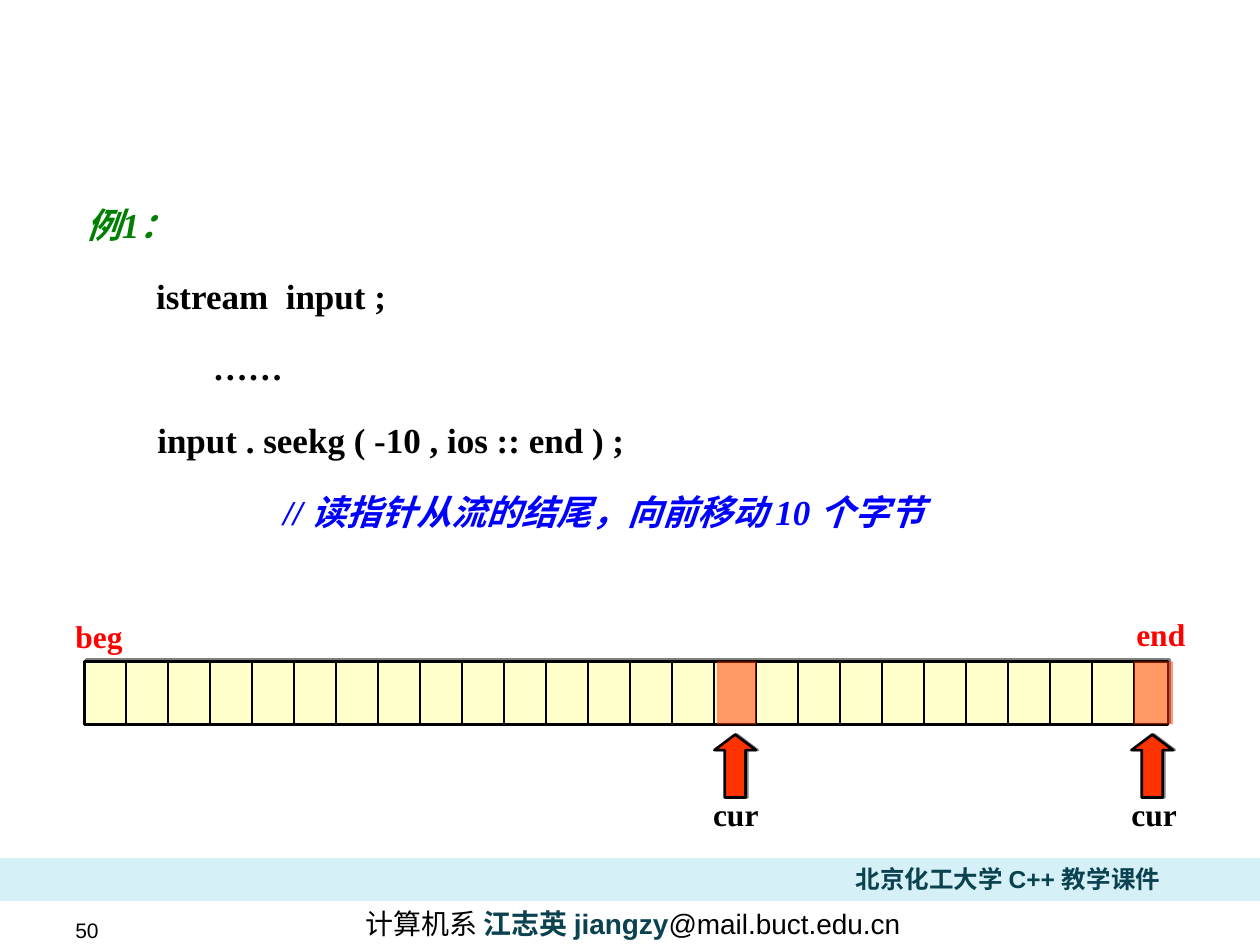
from dataclasses import dataclass

from lxml import etree
from pptx import Presentation
from pptx.dml.color import RGBColor
from pptx.enum.shapes import MSO_CONNECTOR, MSO_SHAPE
from pptx.enum.text import MSO_ANCHOR, PP_ALIGN
from pptx.oxml.ns import qn
from pptx.util import Inches, Pt

STRAIGHT = MSO_CONNECTOR.STRAIGHT
RECTANGLE, UP_ARROW = MSO_SHAPE.RECTANGLE, MSO_SHAPE.UP_ARROW
TOP, MIDDLE = MSO_ANCHOR.TOP, MSO_ANCHOR.MIDDLE
LEFT, CENTER = PP_ALIGN.LEFT, PP_ALIGN.CENTER
SERIF, SANS = "Times New Roman", "Arial"
COLORS = {
    "black": "000000",
    "teal": "0A424F",
    "band": "D5F0F7",
    "green": "008000",
    "blue": "0000FF",
    "red": "FF0000",
    "pointer": "FF3300",
    "cell": "FFFFCC",
    "shadow": "808080",
}
STREAM_TOP, STREAM_HEIGHT = 5.25, 0.5
CELL_WIDTH = 1 / 3
DIVIDERS = 25


@dataclass
class Line:
    text: str
    size: int
    color: str = "black"
    font: str = SERIF
    bold: bool = True
    italic: bool = False
    indent: float = 0
    spacing: float = 1.0


@dataclass
class TextBlock:
    left: float
    top: float
    width: float
    height: float
    lines: list[Line]
    align: PP_ALIGN = LEFT
    anchor: MSO_ANCHOR = TOP


@dataclass
class Pointer:
    arrow_left: float
    cell_left: float
    label_left: float


def rgb(name: str) -> RGBColor:
    return RGBColor.from_string(COLORS[name])


def draw_text(slide, block: TextBlock):
    box = slide.shapes.add_textbox(
        Inches(block.left), Inches(block.top), Inches(block.width), Inches(block.height))
    frame = box.text_frame
    frame.word_wrap = block.align == LEFT
    frame.vertical_anchor = block.anchor
    for index, line in enumerate(block.lines):
        paragraph = frame.paragraphs[0] if index == 0 else frame.add_paragraph()
        paragraph.alignment = block.align
        paragraph.line_spacing = line.spacing
        if line.indent:
            paragraph._p.get_or_add_pPr().set("marL", str(Inches(line.indent)))
        paragraph.text = line.text
        font = paragraph.font
        font.name, font.size = line.font, Pt(line.size)
        font.bold, font.italic = line.bold, line.italic
        font.color.rgb = rgb(line.color)
    return frame


def draw_shape(slide, kind: MSO_SHAPE, left: float, top: float, width: float,
               height: float, fill: str, outlined: bool = False):
    shape = slide.shapes.add_shape(
        kind, Inches(left), Inches(top), Inches(width), Inches(height))
    shape.shadow.inherit = False
    shape.fill.solid()
    shape.fill.fore_color.rgb = rgb(fill)
    if outlined:
        shape.line.color.rgb = rgb("black")
        shape.line.width = Pt(1.5)
    else:
        shape.line.fill.background()
    return shape


def add_shadow(shape, distance: float, degrees: int) -> None:
    effects = shape._element.spPr.find(qn("a:effectLst"))
    shadow = etree.SubElement(effects, qn("a:outerShdw"), dist=str(Pt(distance)),
                              dir=str(degrees * 60000), algn="ctr", rotWithShape="0")
    etree.SubElement(shadow, qn("a:srgbClr"), val=COLORS["shadow"])


def draw_divider(slide, x: float) -> None:
    divider = slide.shapes.add_connector(
        STRAIGHT, Inches(x), Inches(STREAM_TOP), Inches(x), Inches(STREAM_TOP + STREAM_HEIGHT))
    divider.line.color.rgb = rgb("black")
    divider.line.width = Pt(1.5)
    etree.SubElement(divider._element.spPr, qn("a:effectLst"))


def draw_pointer(slide, pointer: Pointer) -> None:
    arrow = draw_shape(slide, UP_ARROW, pointer.arrow_left, 5.83, 0.33, 0.5, "pointer", True)
    arrow.adjustments[0], arrow.adjustments[1] = 0.5, 0.375
    add_shadow(arrow, 1, 0)
    cell = draw_shape(slide, RECTANGLE, pointer.cell_left, STREAM_TOP, 0.31,
                      STREAM_HEIGHT, "pointer")
    color = cell._element.spPr.find(qn("a:solidFill"))[0]
    etree.SubElement(color, qn("a:alpha"), val="50000")
    draw_text(slide, TextBlock(pointer.label_left, 6.32, 0.56, 0.34,
                               [Line("cur", 18, spacing=0.8)], CENTER))


def draw_footer(slide) -> None:
    contact = draw_text(slide, TextBlock(
        2.76, 7.22, 4.53, 0.21,
        [Line("计算机系 ", 16, font=SANS, bold=False)], CENTER, MIDDLE))
    author = contact.paragraphs[0].add_run()
    author.text = "江志英 jiangzy"
    author.font.bold = True
    author.font.color.rgb = rgb("teal")
    contact.paragraphs[0].add_run().text = "@mail.buct.edu.cn"
    draw_shape(slide, RECTANGLE, 0, 6.81, 10, 0.34, "band")
    draw_text(slide, TextBlock(0.5, 7.28, 1.06, 0.2,
                               [Line("50", 12, font=SANS, bold=False)], anchor=MIDDLE))
    draw_text(slide, TextBlock(6.6, 6.81, 2.8, 0.34,
                               [Line("北京化工大学 C++ 教学课件", 14, "teal", SANS)], CENTER))


def draw_stream(slide) -> None:
    stream = draw_shape(slide, RECTANGLE, 0.67, STREAM_TOP, 8.6, STREAM_HEIGHT, "cell", True)
    add_shadow(stream, 1.4, 315)
    for index in range(DIVIDERS):
        draw_divider(slide, 1 + index * CELL_WIDTH)
    draw_text(slide, TextBlock(0.5, 4.85, 0.67, 0.4, [Line("beg", 18, "red")]))
    draw_text(slide, TextBlock(8.92, 4.83, 0.67, 0.4, [Line("end", 18, "red")]))


def main() -> None:
    deck = Presentation()
    deck.slide_width, deck.slide_height = Inches(10), Inches(7.5)
    slide = deck.slides.add_slide(deck.slide_layouts[6])
    draw_footer(slide)
    draw_text(slide, TextBlock(0.59, 1.33, 2.65, 1.8, [
        Line("例1：", 20, "green", italic=True, spacing=1.7),
        Line("istream  input ;", 20, indent=0.55, spacing=1.7),
        Line("……", 20, indent=1, spacing=1.7),
    ]))
    draw_stream(slide)
    for pointer in (Pointer(8.98, 9, 8.88), Pointer(5.67, 5.69, 5.56)):
        draw_pointer(slide, pointer)
    draw_text(slide, TextBlock(1.15, 2.91, 6.49, 1.37, [
        Line("input . seekg ( -10 , ios :: end ) ;", 20, spacing=2.1),
        Line("// 读指针从流的结尾，向前移动 10 个字节", 20, "blue",
             italic=True, indent=1, spacing=1.7),
    ]))
    deck.save("out.pptx")


if __name__ == "__main__":
    main()
